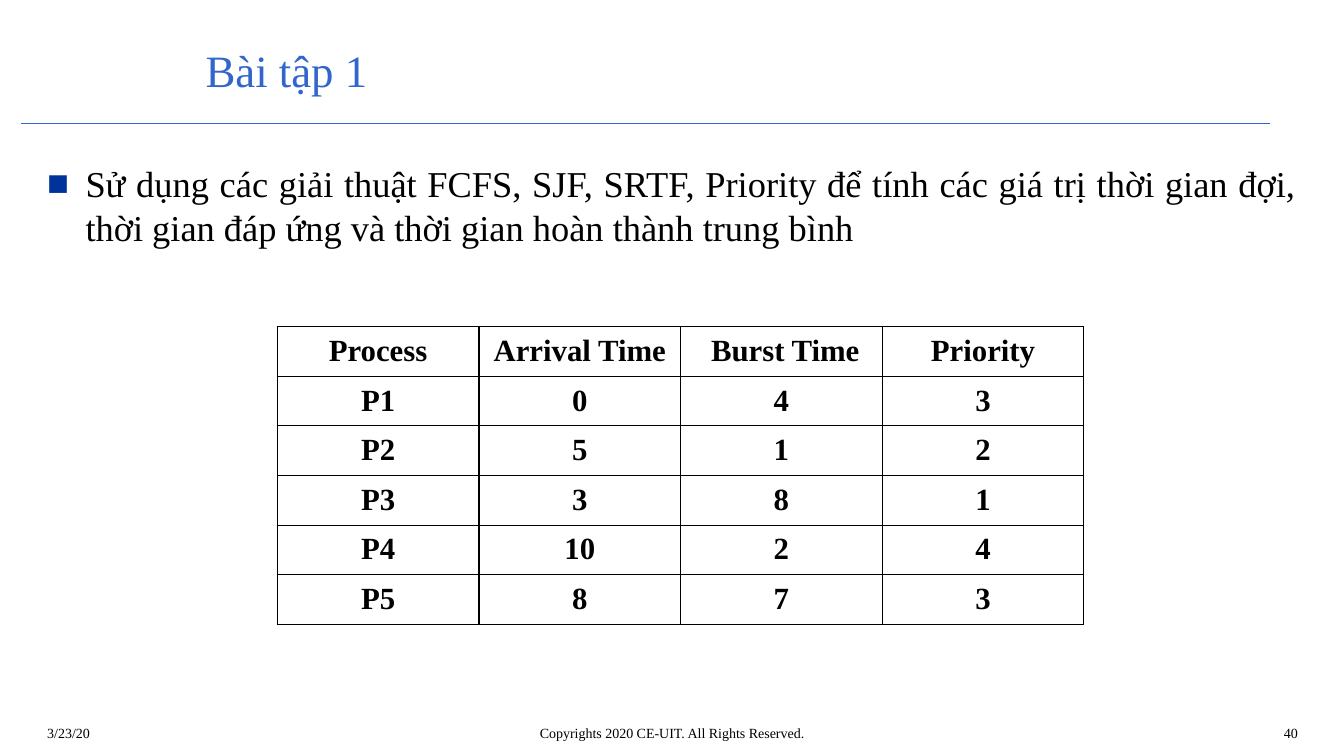
import pptx
import pptx.dml.color
import pptx.enum.shapes
import pptx.enum.text
import pptx.oxml.ns
import pptx.util
from lxml import etree

Inches = pptx.util.Inches
Pt = pptx.util.Pt
RGBColor = pptx.dml.color.RGBColor
PP_ALIGN = pptx.enum.text.PP_ALIGN
ANCHOR = pptx.enum.text.MSO_ANCHOR
qn = pptx.oxml.ns.qn

BLUE = RGBColor(0x33, 0x66, 0xCC)
BULLET = RGBColor(0x00, 0x33, 0x99)
BLACK = RGBColor(0, 0, 0)
FONT = "Times New Roman"


def add_run(p, text, size, color=BLACK, bold=False):
    r = p.add_run()
    r.text = text
    r.font.name = FONT
    r.font.size = Pt(size)
    r.font.bold = bold
    r.font.color.rgb = color


def add_text(box, text, size, align=PP_ALIGN.LEFT, color=BLACK, anchor=ANCHOR.TOP):
    tf = s.shapes.add_textbox(*[Inches(v) for v in box]).text_frame
    tf.word_wrap = True
    tf.vertical_anchor = anchor
    p = tf.paragraphs[0]
    p.alignment = align
    add_run(p, text, size, color)
    return p


prs = pptx.Presentation()
prs.slide_width, prs.slide_height = Inches(13.33), Inches(7.5)
s = prs.slides.add_slide(prs.slide_layouts[6])

# Title and rule
add_text((1.94, 0.31, 10.72, 0.76), "Bài tập 1", 32, color=BLUE, anchor=ANCHOR.MIDDLE)
rule = s.shapes.add_connector(pptx.enum.shapes.MSO_CONNECTOR.STRAIGHT,
                              Inches(0.21), Inches(1.23), Inches(12.6), Inches(1.23))
rule.line.color.rgb = BLUE
rule.line.width = Pt(0.75)
etree.SubElement(rule._element.spPr, qn("a:effectLst"))

# Exercise text with a square bullet
p = add_text((0.37, 1.55, 12.6, 5.28),
             "Sử dụng các giải thuật FCFS, SJF, SRTF, Priority để tính các giá trị "
             "thời gian đợi, thời gian đáp ứng và thời gian hoàn thành trung bình",
             26, PP_ALIGN.JUSTIFY)
p.space_before = Pt(5.2)
pPr = p._p.get_or_add_pPr()
pPr.set("marL", str(Inches(0.38)))
pPr.set("indent", str(-Inches(0.38)))
clr = etree.SubElement(pPr, qn("a:buClr"))
etree.SubElement(clr, qn("a:srgbClr"), val=str(BULLET))
etree.SubElement(pPr, qn("a:buFont"), typeface=FONT)
etree.SubElement(pPr, qn("a:buChar"), char="■")

# Process table
rows = [
    ("Process", "Arrival Time", " Burst Time", "Priority"),
    ("P1", "0", "4", "3"),
    ("P2", "5", "1", "2"),
    ("P3", "3", "8", "1"),
    ("P4", "10", "2", "4"),
    ("P5", "8", "7", "3"),
]
table = s.shapes.add_table(len(rows), 4, Inches(2.75), Inches(3.24),
                           Inches(8), Inches(0.46 * len(rows))).table
table.first_row = table.horz_banding = False
for i, values in enumerate(rows):
    for j, value in enumerate(values):
        cell = table.cell(i, j)
        p = cell.text_frame.paragraphs[0]
        p.alignment = PP_ALIGN.CENTER
        p.line_spacing = 1.07
        p.space_after = Pt(8)
        add_run(p, value, 22, bold=True)
        tcPr = cell._tc.get_or_add_tcPr()
        for side in ("lnL", "lnR", "lnT", "lnB"):
            ln = etree.SubElement(tcPr, qn("a:" + side), w=str(Pt(1)))
            fill = etree.SubElement(ln, qn("a:solidFill"))
            etree.SubElement(fill, qn("a:srgbClr"), val=str(BLACK))
        cell.fill.background()

# Footer: date, copyright, page number
for left, width, text, align in [
    (0.37, 3.11, "3/23/20", PP_ALIGN.LEFT),
    (2.57, 8.19, "Copyrights 2020 CE-UIT. All Rights Reserved.", PP_ALIGN.CENTER),
    (10.41, 2.56, "40", PP_ALIGN.RIGHT),
]:
    add_text((left, 7.14, width, 0.32), text, 10, align)

prs.save("out.pptx")
